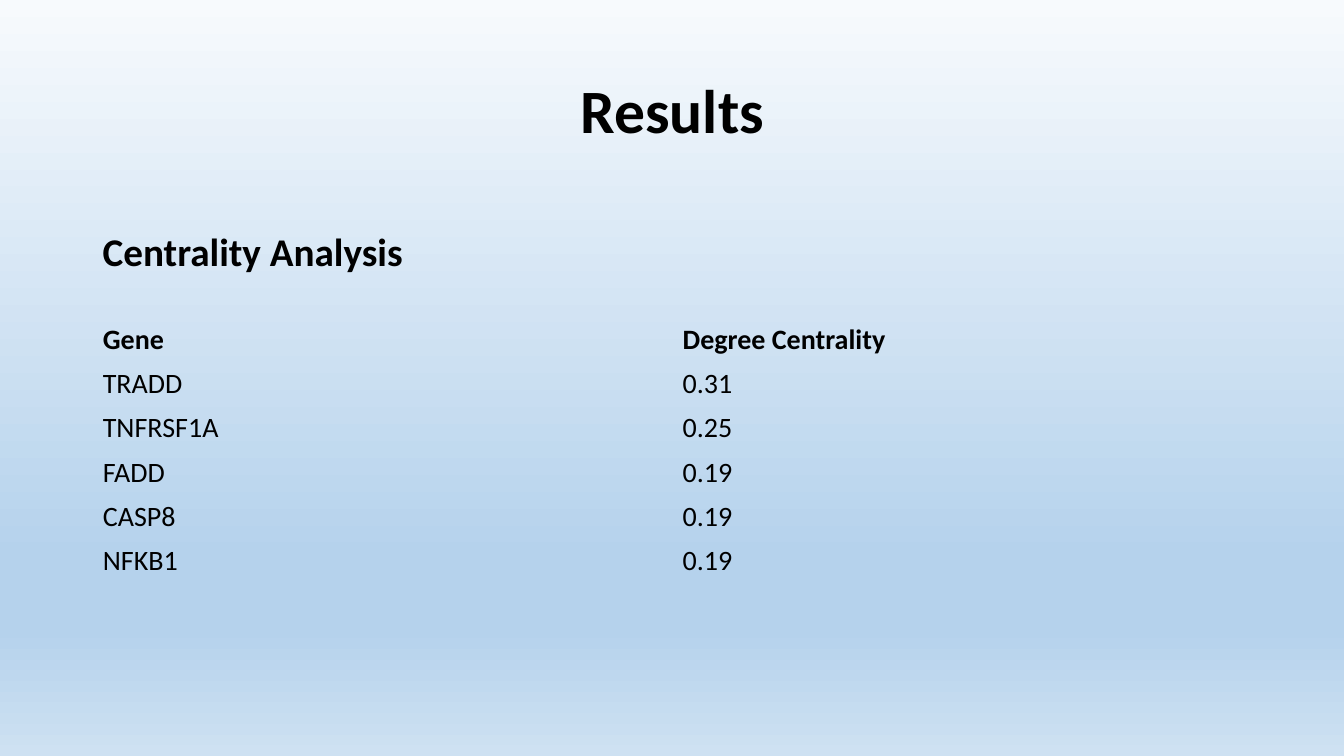
from lxml import etree
from pptx import Presentation
from pptx.dml.color import RGBColor
from pptx.enum.text import MSO_ANCHOR, PP_ALIGN
from pptx.oxml.ns import qn
from pptx.util import Inches, Pt

MIDDLE, TOP = MSO_ANCHOR.MIDDLE, MSO_ANCHOR.TOP
CENTER, LEFT = PP_ALIGN.CENTER, PP_ALIGN.LEFT
BLACK = RGBColor(0x00, 0x00, 0x00)
PALE = RGBColor(0xF7, 0xFA, 0xFD)
SKY = RGBColor(0xB5, 0xD2, 0xEC)
MIST = RGBColor(0xCE, 0xE1, 0xF2)
NO_STYLE = "{2D5ABB26-0587-4C30-8999-92F81FD0307C}"

BACKDROP = [(0, PALE), (74, SKY), (83, SKY), (100, MIST)]
HEADINGS = [
    {"text": "Results", "at": (0.92, 0.4, 11.5, 1.45), "size": 44,
     "align": CENTER, "anchor": MIDDLE, "wrap": True, "spacing": 0.9},
    {"text": "Centrality Analysis", "at": (0.92, 2.21, 3.21, 0.57), "size": 28,
     "align": LEFT, "anchor": TOP, "wrap": False, "spacing": 1.0},
]
CENTRALITY = [
    ("Gene", "Degree Centrality"),
    ("TRADD", "0.31"),
    ("TNFRSF1A", "0.25"),
    ("FADD", "0.19"),
    ("CASP8", "0.19"),
    ("NFKB1", "0.19"),
]
TABLE_LEFT, TABLE_TOP, TABLE_WIDTH, ROW_HEIGHT = 0.92, 3.15, 11.5, 0.44


def write(paragraph, text, size, bold):
    run = paragraph.add_run()
    run.text = text
    for name, value in {"name": "Calibri", "size": Pt(size), "bold": bold}.items():
        setattr(run.font, name, value)
    run.font.color.rgb = BLACK


def paint_backdrop(slide):
    fill = slide.background.fill
    fill.gradient()
    fill.gradient_angle = 270
    stops = slide.element.find(".//" + qn("a:gsLst"))
    for stop in list(stops):
        stops.remove(stop)
    for percent, color in BACKDROP:
        stop = etree.SubElement(stops, qn("a:gs"), pos=str(percent * 1000))
        etree.SubElement(stop, qn("a:srgbClr"), val=str(color))


def add_heading(slide, heading):
    frame = slide.shapes.add_textbox(*map(Inches, heading["at"])).text_frame
    frame.word_wrap = heading["wrap"]
    frame.vertical_anchor = heading["anchor"]
    paragraph = frame.paragraphs[0]
    paragraph.alignment = heading["align"]
    paragraph.line_spacing = heading["spacing"]
    write(paragraph, heading["text"], heading["size"], True)


def add_centrality(slide):
    rows, columns = len(CENTRALITY), len(CENTRALITY[0])
    bounds = (TABLE_LEFT, TABLE_TOP, TABLE_WIDTH, ROW_HEIGHT * rows)
    table = slide.shapes.add_table(rows, columns, *map(Inches, bounds)).table
    table.first_row = table.horz_banding = False
    slide.element.find(".//" + qn("a:tableStyleId")).text = NO_STYLE
    for row, values in enumerate(CENTRALITY):
        for column, value in enumerate(values):
            cell = table.cell(row, column)
            cell.fill.background()
            cell.vertical_anchor = MIDDLE
            write(cell.text_frame.paragraphs[0], value, 20, row == 0)


def main():
    deck = Presentation()
    deck.slide_width, deck.slide_height = Inches(13.33), Inches(7.5)
    slide = deck.slides.add_slide(deck.slide_layouts[6])
    paint_backdrop(slide)
    for heading in HEADINGS:
        add_heading(slide, heading)
    add_centrality(slide)
    deck.save("out.pptx")


if __name__ == "__main__":
    main()
